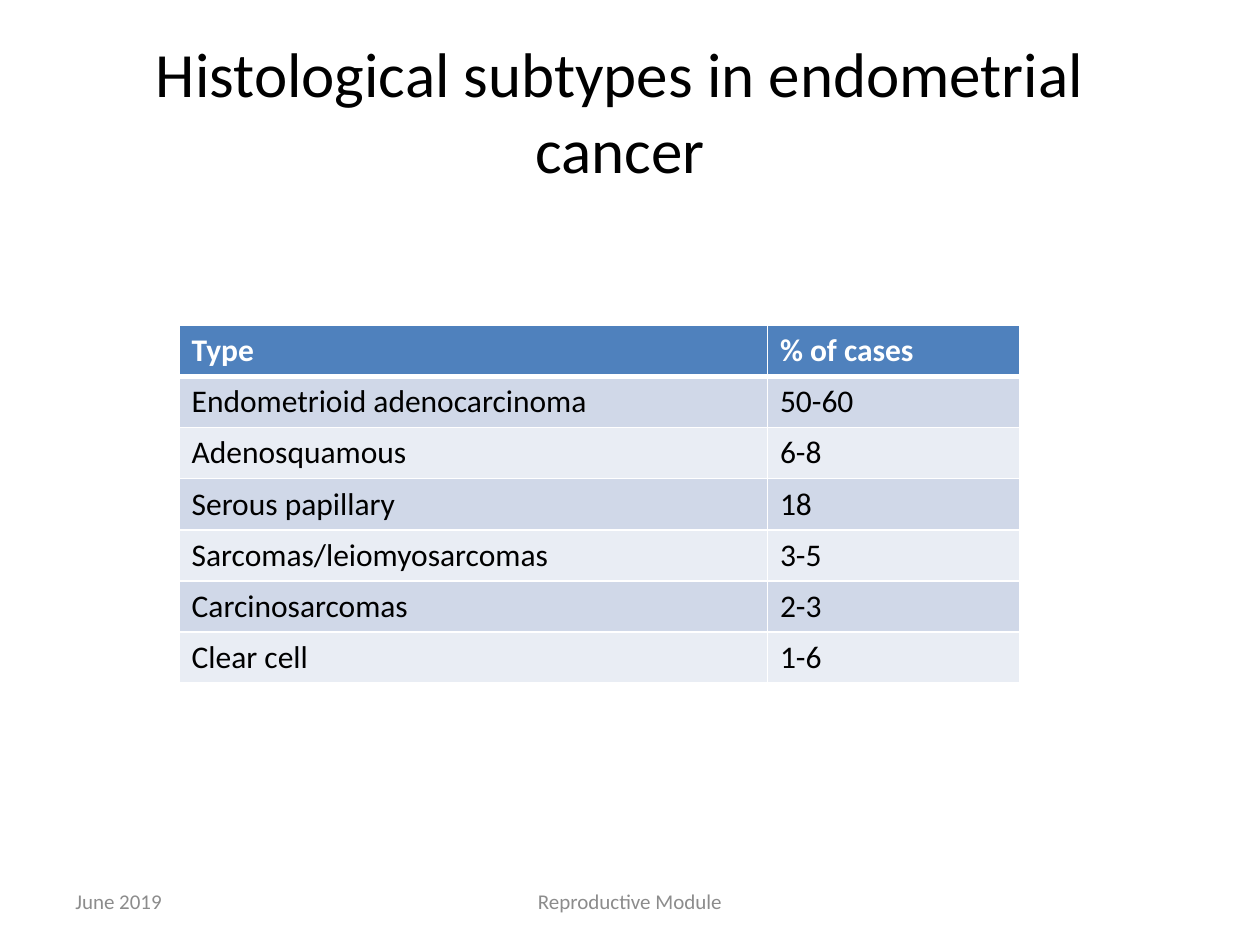
from lxml.etree import SubElement
from pptx import Presentation
from pptx.dml.color import RGBColor
from pptx.enum.text import MSO_ANCHOR, PP_ALIGN
from pptx.oxml.ns import qn
from pptx.util import Cm, Pt

BLACK = RGBColor(0x00, 0x00, 0x00)
WHITE = RGBColor(0xFF, 0xFF, 0xFF)
GREY = RGBColor(0x8C, 0x8C, 0x8C)
BLUE = RGBColor(0x4F, 0x81, 0xBD)
BANDS = (RGBColor(0xD0, 0xD8, 0xE8), RGBColor(0xE9, 0xED, 0xF4))

SUBTYPES = [
    ("Type", "% of cases"),
    ("Endometrioid adenocarcinoma", "50-60"),
    ("Adenosquamous", "6-8"),
    ("Serous papillary", "18"),
    ("Sarcomas/leiomyosarcomas", "3-5"),
    ("Carcinosarcomas", "2-3"),
    ("Clear cell", "1-6"),
]
COLUMN_WIDTHS = (Cm(11.86), Cm(5.08))
ROW_HEIGHT = Cm(1.03)


def write(tf, text, size=18, color=BLACK, bold=False, align=PP_ALIGN.LEFT):
    p = tf.paragraphs[0]
    p.alignment = align
    r = p.add_run()
    r.text = text
    r.font.name = "Calibri"
    r.font.size = Pt(size)
    r.font.bold = bold
    r.font.color.rgb = color


def set_title(s, text):
    sp = s.shapes.title
    sp.left, sp.top, sp.width, sp.height = Cm(1.7), Cm(1.27), Cm(21.59), Cm(1.9)
    sp.text_frame.vertical_anchor = MSO_ANCHOR.MIDDLE
    write(sp.text_frame, text, size=36, align=PP_ALIGN.CENTER)


def add_footer(s, text, left, width, align):
    sp = s.shapes.add_textbox(left, Cm(17.65), width, Cm(1.02))
    tf = sp.text_frame
    tf.word_wrap = True
    tf.vertical_anchor = MSO_ANCHOR.MIDDLE
    write(tf, text, size=12, color=GREY, align=align)


def set_borders(cell, color, **widths):
    tcPr = cell._tc.get_or_add_tcPr()
    for side in "LRTB":
        ln = SubElement(tcPr, qn(f"a:ln{side}"), w=str(Pt(widths.get(side, 1))))
        fill = SubElement(ln, qn("a:solidFill"))
        SubElement(fill, qn("a:srgbClr"), val=str(color))


def format_cell(cell, text, row):
    header = row == 0
    set_borders(cell, WHITE, **({"B": 3} if header else {"T": 3} if row == 1 else {}))
    cell.fill.solid()
    cell.fill.fore_color.rgb = BLUE if header else BANDS[(row - 1) % 2]
    write(cell.text_frame, text, color=WHITE if header else BLACK, bold=header)


def add_subtype_table(s, left, top):
    rows = len(SUBTYPES)
    table = s.shapes.add_table(
        rows, len(COLUMN_WIDTHS), left, top, sum(COLUMN_WIDTHS), ROW_HEIGHT * rows
    ).table
    for column, width in zip(table.columns, COLUMN_WIDTHS):
        column.width = width
    for i, values in enumerate(SUBTYPES):
        table.rows[i].height = ROW_HEIGHT
        for j, text in enumerate(values):
            format_cell(table.cell(i, j), text, i)


def main():
    prs = Presentation()
    prs.slide_width, prs.slide_height = Cm(25.4), Cm(19.05)
    s = prs.slides.add_slide(prs.slide_layouts[5])
    set_title(s, "Histological subtypes in endometrial cancer")
    add_subtype_table(s, Cm(3.61), Cm(6.56))
    add_footer(s, "June 2019", Cm(1.27), Cm(5.92), PP_ALIGN.LEFT)
    add_footer(s, "Reproductive Module", Cm(8.68), Cm(8.04), PP_ALIGN.CENTER)
    prs.save("out.pptx")


if __name__ == "__main__":
    main()
